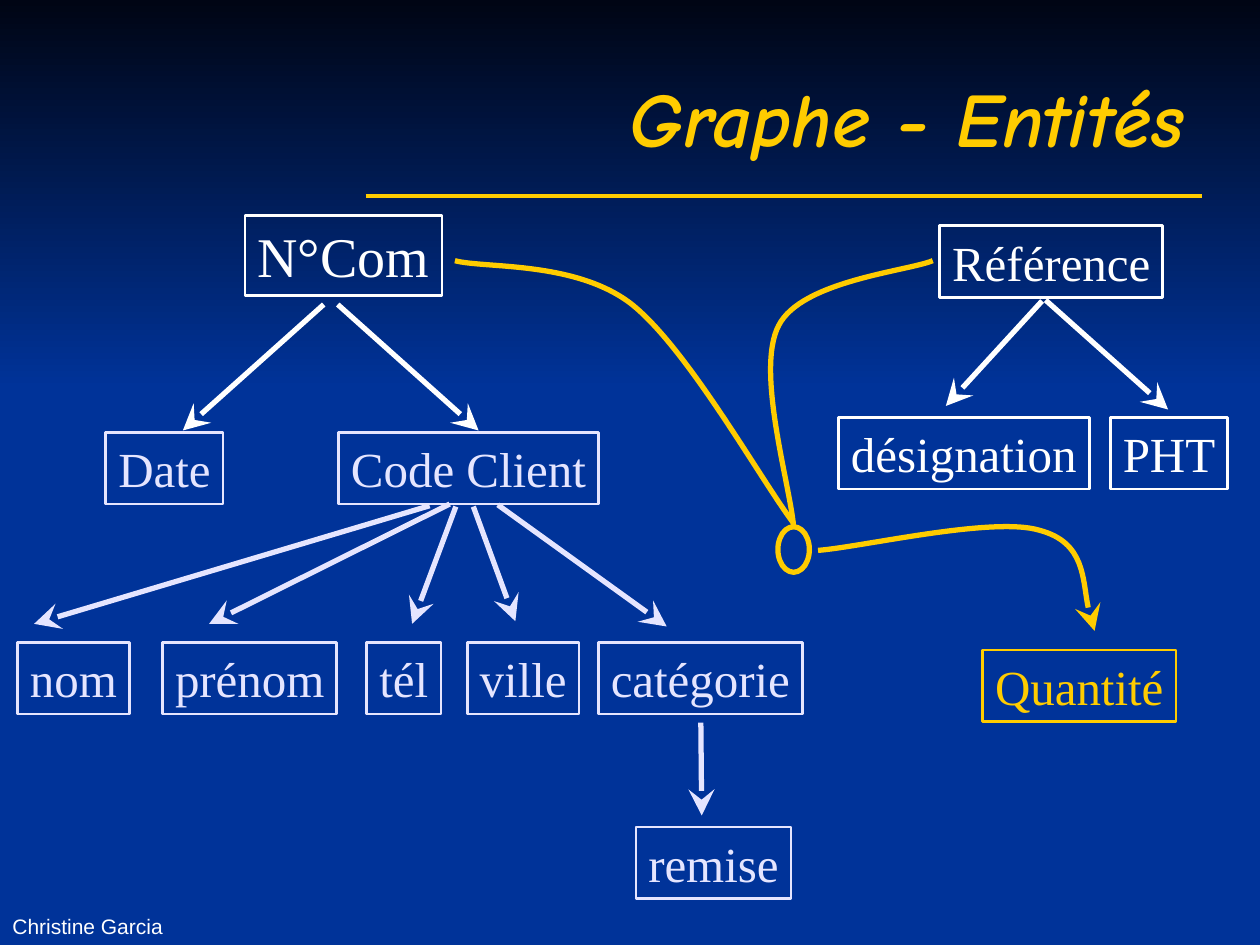
from typing import NamedTuple

from lxml.etree import SubElement
from pptx import Presentation
from pptx.dml.color import RGBColor
from pptx.enum.shapes import MSO_CONNECTOR, MSO_SHAPE
from pptx.enum.text import MSO_ANCHOR as Anchor, PP_ALIGN as Align
from pptx.oxml.ns import qn
from pptx.util import Pt

NIGHT = RGBColor(0x00, 0x05, 0x14)
BLUE = RGBColor(0x00, 0x33, 0x99)
WHITE = RGBColor(0xFF, 0xFF, 0xFF)
PALE = RGBColor(0xE5, 0xE5, 0xFF)
GOLD = RGBColor(0xFF, 0xCC, 0x00)

Point = tuple[float, float]


class Attribute(NamedTuple):
    label: str
    left: float
    top: float
    width: float
    color: RGBColor = PALE
    height: float = 41
    size: float = 28


class Dependency(NamedTuple):
    start: Point
    end: Point
    color: RGBColor = PALE


class Association(NamedTuple):
    points: list[Point]  # start, then three points per Bézier segment
    arrow: bool = False


CLIENT_ROW, ARTICLE_ROW, DETAIL_ROW = 247, 238.5, 367

ATTRIBUTES = [
    # Order
    Attribute("N°Com", 140, 123, 112.5, WHITE, height=46, size=32),
    Attribute("Date", 60.5, CLIENT_ROW, 67),
    Attribute("Code Client", 193.5, CLIENT_ROW, 148.5),
    # Client
    Attribute("nom", 10, DETAIL_ROW, 64),
    Attribute("prénom", 93, DETAIL_ROW, 99.5),
    Attribute("tél", 209.5, DETAIL_ROW, 42.5),
    Attribute("ville", 267, DETAIL_ROW, 64),
    Attribute("catégorie", 342, DETAIL_ROW, 116.5),
    Attribute("remise", 363.5, 472.5, 88.5),
    # Article
    Attribute("Référence", 537, 129, 127.5, WHITE),
    Attribute("désignation", 479, ARTICLE_ROW, 143.5, WHITE),
    Attribute("PHT", 634.5, ARTICLE_ROW, 67, WHITE),
    # Order line
    Attribute("Quantité", 561.5, 371.5, 110.5, GOLD),
]

DEPENDENCIES = [
    # From N°Com
    Dependency((185, 174), (104.5, 246), WHITE),
    Dependency((193, 174), (273.5, 246), WHITE),
    # From Code Client
    Dependency((245.5, 289), (19.5, 356.5)),
    Dependency((257, 288), (119.5, 356.5)),
    Dependency((260.5, 289.5), (235.5, 356.5)),
    Dependency((270.5, 289.5), (294.5, 355)),
    Dependency((284.5, 288.5), (381, 358)),
    # From catégorie
    Dependency((400.5, 413), (401, 466)),
    # From Référence
    Dependency((595.5, 172), (540.5, 232), WHITE),
    Dependency((597.5, 171.5), (667.5, 234), WHITE),
]

ASSOCIATIONS = [
    Association([(260, 149), (276.5, 153.5), (328.5, 149), (360.5, 173.5),
                 (392.5, 198.5), (434, 273), (453.5, 299)]),
    Association([(533, 149), (518.5, 155), (458, 160.5), (445, 186),
                 (431.5, 211.5), (451.5, 277), (453.5, 301)]),
    Association([(467.5, 314.5), (493, 312.5), (567.5, 295), (594, 303),
                 (620.5, 310), (620.5, 351.5), (625.5, 360.5)], arrow=True),
]


def write(shape, text: str, *, font: str, size: float, color: RGBColor,
          align=Align.LEFT, anchor=Anchor.MIDDLE, wrap: bool = True,
          bold: bool = False, italic: bool = False) -> None:
    frame = shape.text_frame
    frame.word_wrap = wrap
    frame.vertical_anchor = anchor
    paragraph = frame.paragraphs[0]
    paragraph.alignment = align
    run = paragraph.add_run()
    run.text = text
    run.font.name = font
    run.font.size = Pt(size)
    run.font.color.rgb = color
    run.font.bold = bold
    run.font.italic = italic


def add_text(slide, left: float, top: float, width: float, height: float,
             text: str, **style) -> None:
    box = slide.shapes.add_textbox(Pt(left), Pt(top), Pt(width), Pt(height))
    write(box, text, **style)


def add_outline(slide, kind, left: float, top: float, width: float,
                height: float, color: RGBColor, weight: float):
    shape = slide.shapes.add_shape(kind, Pt(left), Pt(top), Pt(width), Pt(height))
    shape.shadow.inherit = False
    shape.fill.background()
    shape.line.color.rgb = color
    shape.line.width = Pt(weight)
    return shape


def add_attribute(slide, item: Attribute) -> None:
    box = add_outline(slide, MSO_SHAPE.RECTANGLE, item.left, item.top,
                      item.width, item.height, item.color, 1.5)
    write(box, item.label, font="Times New Roman", size=item.size,
          color=item.color, align=Align.CENTER, wrap=False)


def add_arrowhead(shape) -> None:
    SubElement(shape.get_or_add_ln(), qn("a:tailEnd"),
               type="stealth", w="lg", len="lg")


def add_line(slide, start: Point, end: Point, color: RGBColor,
             weight: float, arrow: bool) -> None:
    connector = slide.shapes.add_connector(
        MSO_CONNECTOR.STRAIGHT, *(Pt(value) for value in start + end))
    connector.line.color.rgb = color
    connector.line.width = Pt(weight)
    if arrow:
        add_arrowhead(connector)
    SubElement(connector._element.spPr, qn("a:effectLst"))


def add_association(slide, item: Association) -> None:
    start, *others = [(Pt(x), Pt(y)) for x, y in item.points]
    builder = slide.shapes.build_freeform(*start)
    builder.add_line_segments(others, close=False)
    curve = builder.convert_to_shape()
    curve.shadow.inherit = False
    curve.fill.background()
    curve.line.color.rgb = GOLD
    curve.line.width = Pt(3)
    # Turn every three straight steps into one Bézier segment
    steps = list(curve._element.iter(qn("a:lnTo")))
    outline = steps[0].getparent()
    for first in range(0, len(steps), 3):
        segment = SubElement(outline, qn("a:cubicBezTo"))
        for step in steps[first:first + 3]:
            segment.append(step[0])
            outline.remove(step)
    if item.arrow:
        add_arrowhead(curve)


def add_backdrop(slide) -> None:
    slide.background.fill.solid()
    slide.background.fill.fore_color.rgb = BLUE
    sky = slide.shapes.add_shape(MSO_SHAPE.RECTANGLE, 0, 0, Pt(720), Pt(222))
    sky.shadow.inherit = False
    sky.line.fill.background()
    sky.fill.gradient()
    sky.fill.gradient_angle = 270
    for stop, position, color in zip(sky.fill.gradient_stops, (0, 1), (NIGHT, BLUE)):
        stop.position = position
        stop.color.rgb = color


def main() -> None:
    deck = Presentation()
    deck.slide_width, deck.slide_height = Pt(720), Pt(540)
    slide = deck.slides.add_slide(deck.slide_layouts[6])

    # Backdrop and heading
    add_backdrop(slide)
    add_line(slide, (209, 112), (687, 112), GOLD, 2, arrow=False)
    add_text(slide, 36, 21.5, 648, 90, "Graphe - Entités", font="Comic Neue",
             size=44, color=GOLD, align=Align.RIGHT, bold=True, italic=True)

    # Graph
    for attribute in ATTRIBUTES:
        add_attribute(slide, attribute)
    for dependency in DEPENDENCIES:
        add_line(slide, *dependency, weight=3, arrow=True)
    add_outline(slide, MSO_SHAPE.OVAL, 444.5, 301, 18, 26, GOLD, 3)
    for association in ASSOCIATIONS:
        add_association(slide, association)

    # Author
    add_text(slide, 0, 502.5, 228, 37.5, "Christine Garcia", font="Arial",
             size=12, color=WHITE, anchor=Anchor.BOTTOM)
    deck.save("out.pptx")


if __name__ == "__main__":
    main()
